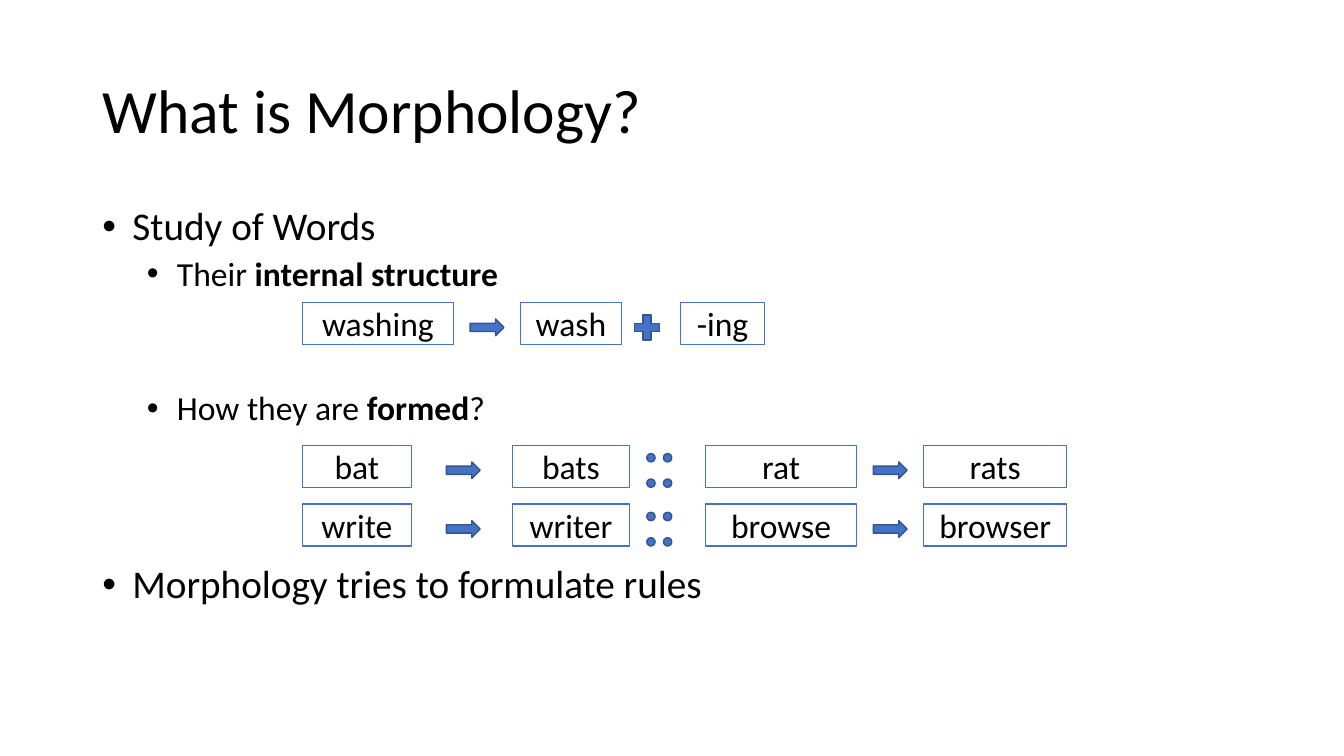
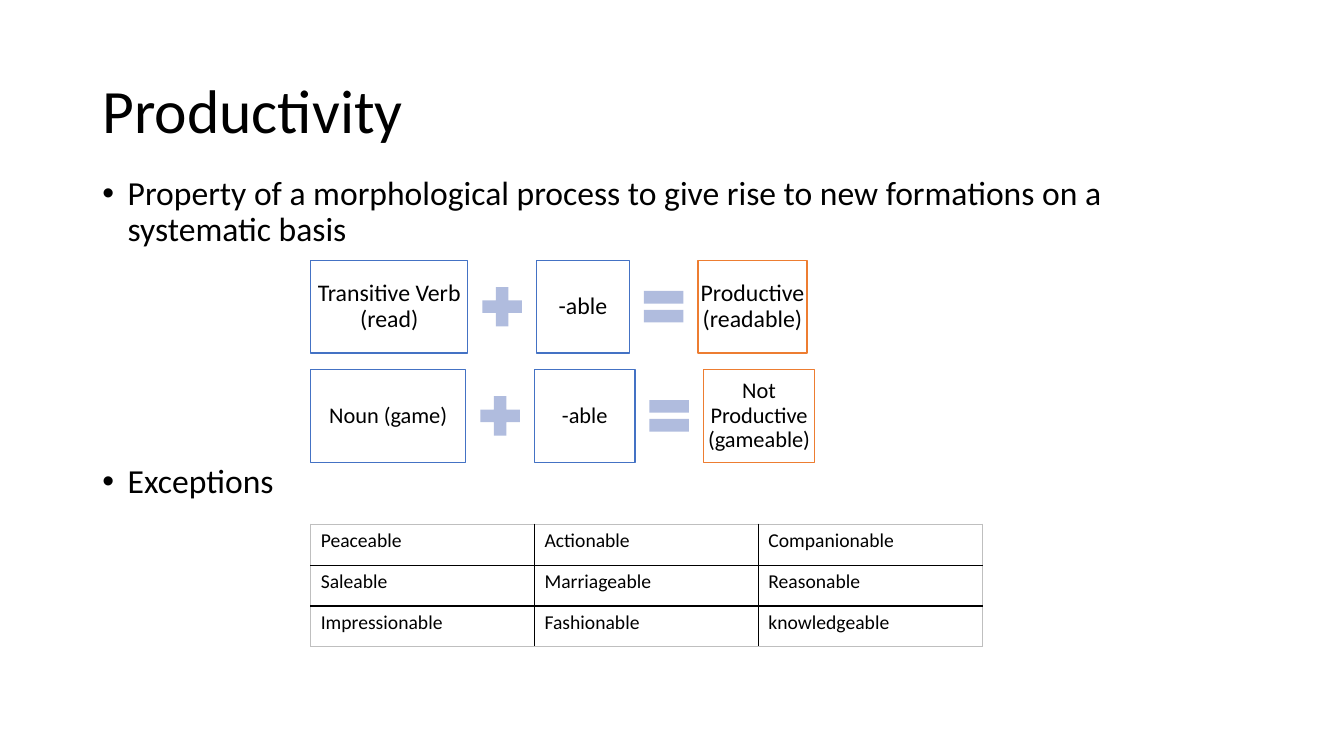
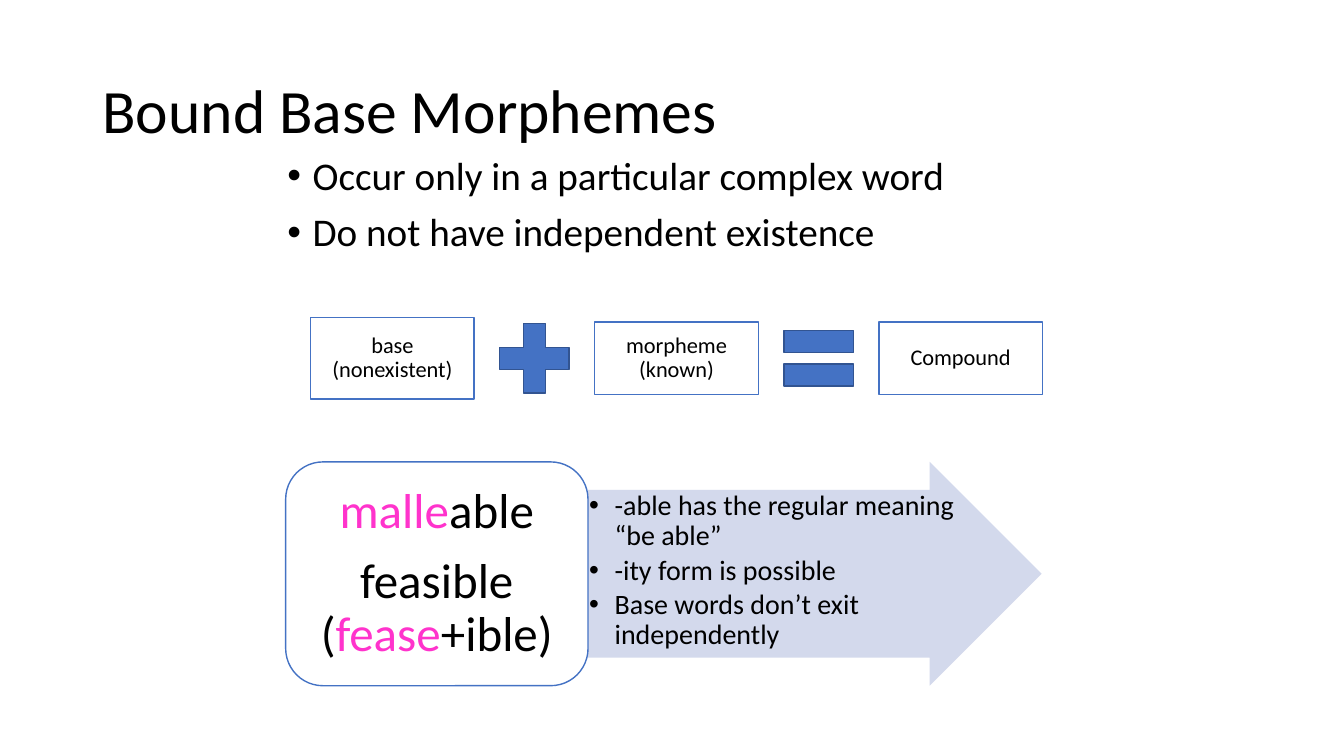
from itertools import product

from lxml.etree import SubElement
from pptx import Presentation
from pptx.dml.color import RGBColor
from pptx.enum.shapes import MSO_SHAPE
from pptx.enum.text import MSO_ANCHOR, MSO_AUTO_SIZE, PP_ALIGN
from pptx.oxml.ns import qn
from pptx.util import Cm, Pt

# Shared look
FONT = "Calibri"
BLACK, WHITE = "000000", "FFFFFF"
BLUE, DARK_BLUE, PALE_BLUE = "4472C4", "325491", "B0BCDE"
ORANGE, PINK, GREY, ARROW_TINT = "ED7D31", "FF33CC", "BFBFBF", "CFD5EA"
TITLE_ONLY = 5
WORD_HEIGHT = 1.06


def rgb(value):
    return RGBColor.from_string(value)


def cm(*lengths):
    return [Cm(length) for length in lengths]


# Text
def set_font(font, size, color=BLACK):
    font.name, font.size = FONT, Pt(size)
    font.color.rgb = rgb(color)


def set_margins(frame, horizontal, vertical):
    frame.margin_left = frame.margin_right = Cm(horizontal)
    frame.margin_top = frame.margin_bottom = Cm(vertical)


def add_runs(paragraph, runs):
    """Each run is plain text or a (text, bold, color) tuple."""
    for part in [runs] if isinstance(runs, str) else runs:
        text, bold, color = (part, None, None) if isinstance(part, str) else part
        run = paragraph.add_run()
        run.text = text
        if bold:
            run.font.bold = True
        if color:
            run.font.color.rgb = rgb(color)


def next_paragraph(frame, index):
    return frame.paragraphs[0] if index == 0 else frame.add_paragraph()


def add_centered_text(shape, paragraphs, size, spacing=0.9, gap=0):
    frame = shape.text_frame
    frame.word_wrap = True
    frame.vertical_anchor = MSO_ANCHOR.MIDDLE
    for index, runs in enumerate(paragraphs):
        paragraph = next_paragraph(frame, index)
        paragraph.alignment = PP_ALIGN.CENTER
        paragraph.line_spacing = spacing
        if index:
            paragraph.space_before = Pt(gap)
        set_font(paragraph.font, size)
        add_runs(paragraph, runs)
    return frame


def add_bullets(slide, box, items, indent=0.64, margins=(0.25, 0.13)):
    """Each item is (runs, size, space before, left margin)."""
    frame = slide.shapes.add_textbox(*cm(*box)).text_frame
    frame.word_wrap = True
    set_margins(frame, *margins)
    for index, (runs, size, before, left) in enumerate(items):
        paragraph = next_paragraph(frame, index)
        paragraph.line_spacing = 0.9
        if index:
            paragraph.space_before = Pt(before)
        properties = paragraph._p.get_or_add_pPr()
        properties.set("marL", str(Cm(left)))
        properties.set("indent", str(-Cm(indent)))
        SubElement(properties, qn("a:buFont")).set("typeface", "Arial")
        SubElement(properties, qn("a:buChar")).set("char", "•")
        set_font(paragraph.font, size)
        add_runs(paragraph, runs)


def add_titled_slide(deck, heading):
    slide = deck.slides.add_slide(deck.slide_layouts[TITLE_ONLY])
    title = slide.shapes.title
    title.left, title.top, title.width, title.height = cm(2.33, 1.01, 29.21, 3.68)
    title.text = heading
    frame = title.text_frame
    frame.auto_size = MSO_AUTO_SIZE.NONE
    frame.vertical_anchor = MSO_ANCHOR.MIDDLE
    paragraph = frame.paragraphs[0]
    paragraph.alignment = PP_ALIGN.LEFT
    paragraph.line_spacing = 0.9
    set_font(paragraph.font, 44)
    return slide


# Shapes
def add_figure(slide, kind, box, fill=BLUE, outline=DARK_BLUE):
    figure = slide.shapes.add_shape(kind, *cm(*box))
    figure.shadow.inherit = False
    figure.fill.solid()
    figure.fill.fore_color.rgb = rgb(fill)
    if outline:
        figure.line.color.rgb = rgb(outline)
        figure.line.width = Pt(1)
    else:
        figure.line.fill.background()
    return figure


def add_word(slide, word, left, top, width):
    box = add_figure(slide, MSO_SHAPE.RECTANGLE, (left, top, width, WORD_HEIGHT), WHITE, BLUE)
    add_centered_text(box, [word], 24, spacing=1)


def add_small_arrow(slide, left, row_top):
    add_figure(slide, MSO_SHAPE.RIGHT_ARROW, (left, row_top + 0.42, 0.85, 0.42))


def add_analogy(slide, top, words):
    """One row of the form a → b :: c → d."""
    columns = [(7.62, 2.75), (12.91, 2.96), (17.78, 3.81), (23.28, 3.6)]
    for word, (left, width) in zip(words, columns):
        add_word(slide, word, left, top, width)
    for left in (11.25, 22.01):
        add_small_arrow(slide, left, top)
    for left, drop in product((16.3, 16.72), (0.21, 0.85)):
        add_figure(slide, MSO_SHAPE.OVAL, (left, top + drop, 0.21, 0.21))


def add_equation(slide, middle, terms, size, sign, gap, sign_fill, sign_outline):
    """Terms are (text, width, height, outline), joined by plus and equals."""
    left = 7.83
    signs = [MSO_SHAPE.MATH_PLUS, MSO_SHAPE.MATH_EQUAL, None]
    for (text, width, height, outline), operator in zip(terms, signs):
        box = (left, middle - height / 2, width, height)
        term = add_figure(slide, MSO_SHAPE.RECTANGLE, box, WHITE, outline)
        set_margins(add_centered_text(term, [text], size), 0.04, 0.04)
        left += width + gap
        if operator:
            add_figure(slide, operator, (left, middle - sign / 2, sign, sign),
                       sign_fill, sign_outline)
            left += sign + gap


# Table
def set_borders(cell, colors):
    properties = cell._tc.get_or_add_tcPr()
    for side, color in zip("LRTB", colors):
        line = SubElement(properties, qn("a:ln" + side))
        line.set("w", str(Pt(1)))
        fill = SubElement(line, qn("a:solidFill"))
        SubElement(fill, qn("a:srgbClr")).set("val", color)


def add_word_table(slide, left, top, column_width, row_height, rows):
    last_row, last_column = len(rows) - 1, len(rows[0]) - 1
    size = cm(left, top, column_width * len(rows[0]), row_height * len(rows))
    table = slide.shapes.add_table(len(rows), len(rows[0]), *size).table
    table.first_row = table.horz_banding = False
    for column in table.columns:
        column.width = Cm(column_width)
    for r, words in enumerate(rows):
        table.rows[r].height = Cm(row_height)
        for c, word in enumerate(words):
            cell = table.cell(r, c)
            outer = (c == 0, c == last_column, r == 0, r == last_row)
            set_borders(cell, [GREY if edge else BLACK for edge in outer])
            cell.fill.background()
            paragraph = cell.text_frame.paragraphs[0]
            set_font(paragraph.font, 14)
            add_runs(paragraph, word)


# Slides
def build_morphology(deck):
    slide = add_titled_slide(deck, "What is Morphology?")
    add_bullets(slide, (2.33, 5.08, 29.21, 12.09), [
        ("Study of Words", 28, 0, 0.76),
        (["Their ", ("internal structure", True, None)], 24, 5.8, 1.88),
        (["How they are ", ("formed", True, None), "?"], 24, 70, 1.88),
        ("Morphology tries to formulate rules", 28, 98, 0.76),
    ], indent=0.76)

    split_top = 7.62
    for word, left, width in [("washing", 7.62, 3.81), ("wash", 13.12, 2.54),
                              ("-ing", 17.15, 2.12)]:
        add_word(slide, word, left, split_top, width)
    add_small_arrow(slide, 11.85, split_top)
    add_figure(slide, MSO_SHAPE.MATH_PLUS, (15.88, split_top + 0.21, 0.85, 0.85))

    add_analogy(slide, 11.22, ["bat", "bats", "rat", "rats"])
    add_analogy(slide, 12.7, ["write", "writer", "browse", "browser"])


def build_productivity(deck):
    slide = add_titled_slide(deck, "Productivity")
    add_bullets(slide, (2.33, 4.32, 29.21, 12.85), [
        ("Property of a morphological process to give rise to new formations "
         "on a systematic basis", 24, 0, 0.64),
        ("Exceptions", 24, 154, 0.64),
    ])

    height = 2.34
    equations = [
        (7.73, 17, [("Transitive Verb (read)", 3.96, BLUE), ("-able", 2.34, BLUE),
                    ("Productive (readable)", 2.75, ORANGE)]),
        (10.48, 16, [("Noun (game)", 3.91, BLUE), ("-able", 2.53, BLUE),
                     ("Not Productive (gameable)", 2.8, ORANGE)]),
    ]
    for middle, size, parts in equations:
        terms = [(text, width, height, outline) for text, width, outline in parts]
        add_equation(slide, middle, terms, size, 1.35, 0.19, PALE_BLUE, None)

    add_word_table(slide, 7.83, 13.21, 5.64, 1.03, [
        ["Peaceable", "Actionable", "Companionable"],
        ["Saleable", "Marriageable", "Reasonable"],
        ["Impressionable", "Fashionable", "knowledgeable"],
    ])


def build_bound_bases(deck):
    slide = add_titled_slide(deck, "Bound Base Morphemes")
    add_bullets(slide, (6.99, 3.81, 21.59, 12.7), [
        ("Occur only in a particular complex word", 28, 0, 0.64),
        ("Do not have independent existence", 28, 10, 0.64),
    ])
    add_equation(slide, 9.03, [
        ("base (nonexistent)", 4.12, 2.06, BLUE),
        ("morpheme (known)", 4.12, 1.83, BLUE),
        ("Compound", 4.12, 1.83, BLUE),
    ], 16, 2.38, 0.33, BLUE, DARK_BLUE)

    # Examples and what they show
    top, height = 11.64, 5.64
    arrow = add_figure(slide, MSO_SHAPE.RIGHT_ARROW, (14.82, top, 11.43, height),
                       ARROW_TINT, None)
    arrow.adjustments[0], arrow.adjustments[1] = 0.75, 0.5
    tint = arrow._element.spPr.find(qn("a:solidFill"))[0]
    SubElement(tint, qn("a:alpha")).set("val", "90000")
    findings = ["-able has the regular meaning “be able”", "-ity form is possible",
                "Base words don’t exit independently"]
    add_bullets(slide, (14.82, 12.35, 9.31, 4.23),
                [(finding, 20, 3, 0.64) for finding in findings], margins=(0.03, 0.03))

    examples = add_figure(slide, MSO_SHAPE.ROUNDED_RECTANGLE, (7.2, top, 7.62, height),
                          WHITE, BLUE)
    frame = add_centered_text(examples, [
        [("malle", False, PINK), "able"],
        ["feasible (", ("fease", False, PINK), "+ible)"],
    ], 35, gap=12.25)
    set_margins(frame, 0.38, 0.18)


def main():
    deck = Presentation()
    deck.slide_width, deck.slide_height = cm(33.87, 19.05)
    build_morphology(deck)
    build_productivity(deck)
    build_bound_bases(deck)
    deck.save("out.pptx")


if __name__ == "__main__":
    main()
